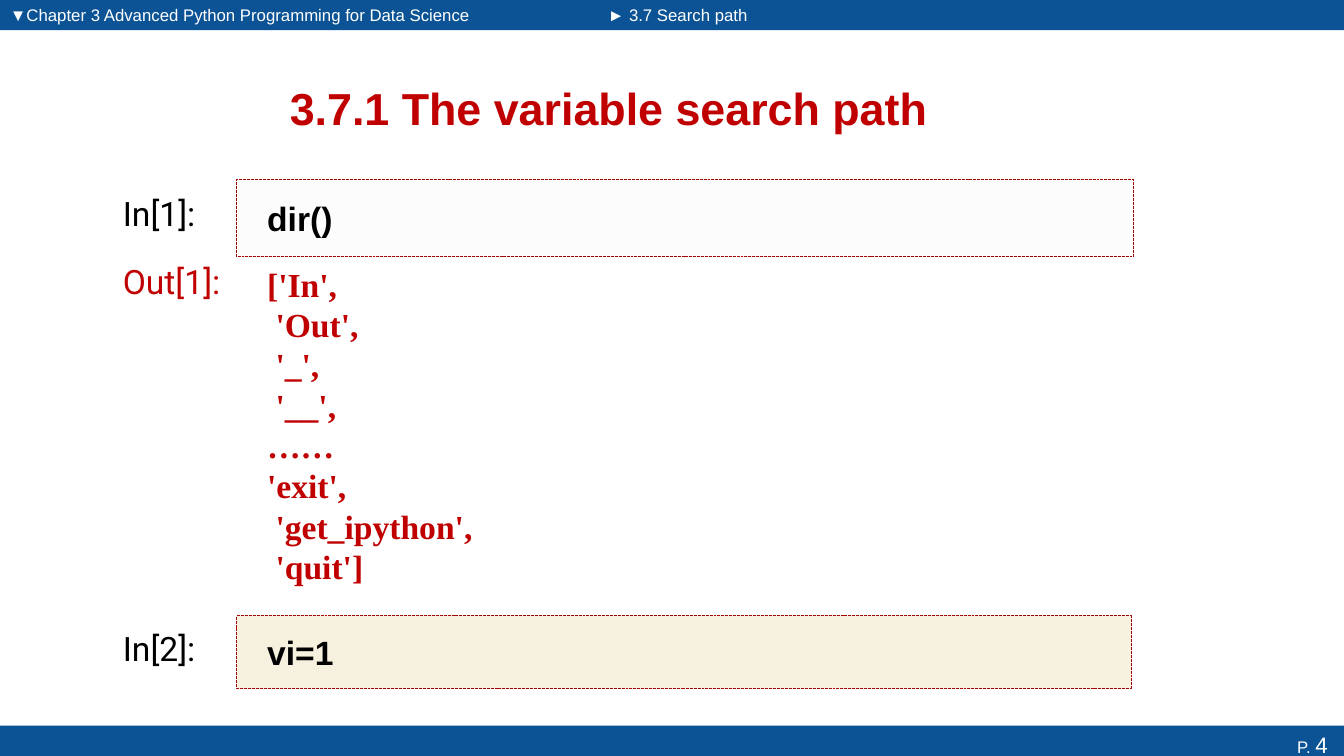
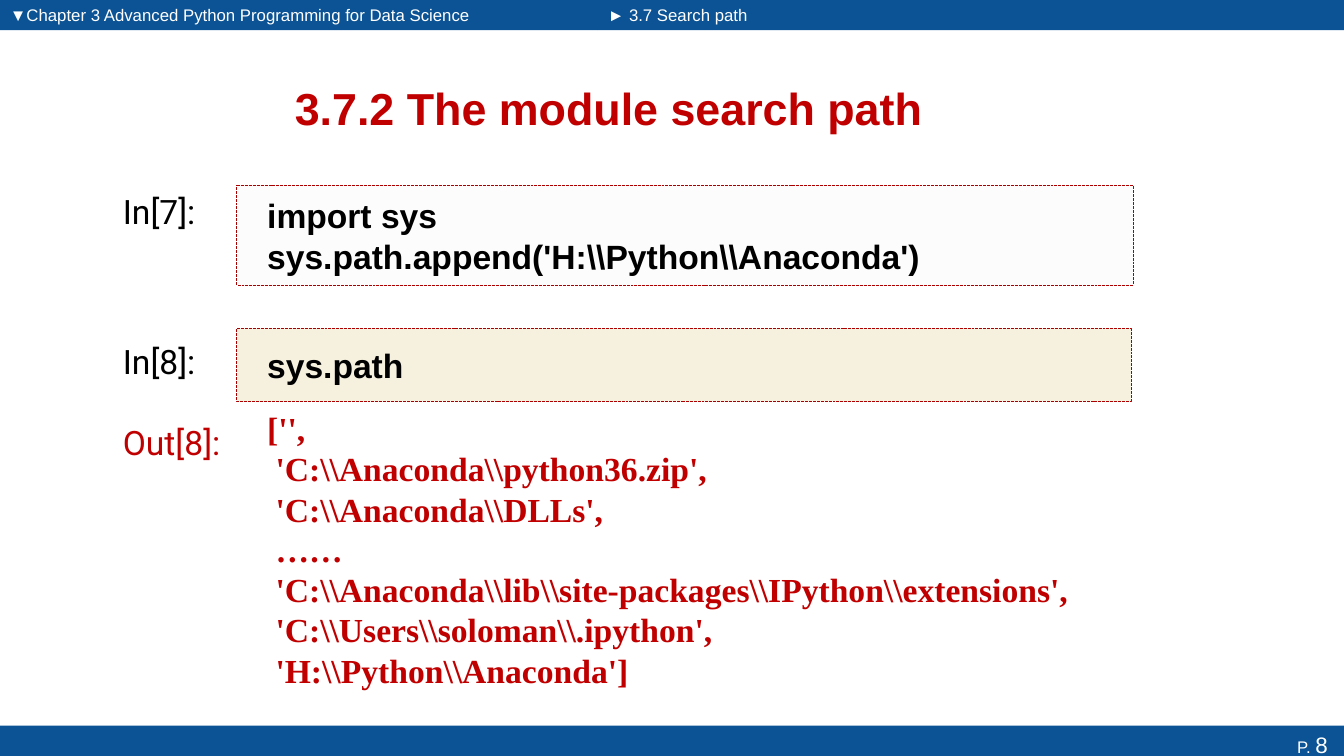
import lxml.etree
import pptx
import pptx.dml.color
import pptx.enum.dml
import pptx.enum.shapes
import pptx.enum.text
import pptx.oxml.ns
import pptx.util

Inches = pptx.util.Inches
RGBColor = pptx.dml.color.RGBColor
ALIGN = pptx.enum.text.PP_ALIGN
ANCHOR = pptx.enum.text.MSO_ANCHOR

BLUE = RGBColor(0x0B, 0x53, 0x94)
WHITE = RGBColor(0xFF, 0xFF, 0xFF)
BLACK = RGBColor(0x00, 0x00, 0x00)
RED = RGBColor(0xC0, 0x00, 0x00)
DARK_RED = RGBColor(0xAB, 0x00, 0x00)
LILAC = RGBColor(0xF1, 0xEE, 0xF4)
GOLD = RGBColor(0xBF, 0x90, 0x00)

CHAPTER = "▼Chapter 3 Advanced Python Programming for Data Science"
SECTION = "► 3.7 Search path"
PAGE_WIDTH, PAGE_HEIGHT = 13.33, 7.5
BAND_HEIGHT = 0.3
SECTION_LEFT = 5.93
LABEL_LEFT = 1.12
CELL_LEFT = 2.35
CODE_INSET = 0.3


def add_span(para, text, size=24, font="Arial", color=BLACK, bold=False):
    span = para.add_run()
    span.text = text
    span.font.size = pptx.util.Pt(size)
    span.font.name = font
    span.font.color.rgb = color
    span.font.bold = bold


def write(box, text, align=ALIGN.LEFT, anchor=ANCHOR.TOP, inset=0.1, **style):
    """Fill a box with one paragraph for each line of text."""
    frame = box.text_frame
    frame.word_wrap = True
    frame.vertical_anchor = anchor
    frame.margin_left = Inches(inset)
    for index, line in enumerate(text.split("\n")):
        para = frame.add_paragraph() if index else frame.paragraphs[0]
        para.alignment = align
        add_span(para, line, **style)


def set_opacity(shape, percent):
    color = shape.fill._xPr.find(".//" + pptx.oxml.ns.qn("a:srgbClr"))
    alpha = lxml.etree.SubElement(color, pptx.oxml.ns.qn("a:alpha"))
    alpha.set("val", str(percent * 1000))


class Deck:
    """Holds the presentation, its style and the current page."""

    def __init__(self):
        self.show = pptx.Presentation()
        self.show.slide_width = Inches(PAGE_WIDTH)
        self.show.slide_height = Inches(PAGE_HEIGHT)
        self.page = None

    def text(self, left, top, width, height, text, **style):
        box = self.page.shapes.add_textbox(
            Inches(left), Inches(top), Inches(width), Inches(height))
        write(box, text, **style)

    def rectangle(self, left, top, width, height, fill):
        shape = self.page.shapes.add_shape(
            pptx.enum.shapes.MSO_SHAPE.RECTANGLE,
            Inches(left), Inches(top), Inches(width), Inches(height))
        shape.shadow.inherit = False
        shape.fill.solid()
        shape.fill.fore_color.rgb = fill
        shape.line.fill.background()
        return shape

    def header(self, left, width, text):
        band = self.rectangle(left, 0, width, BAND_HEIGHT, BLUE)
        write(band, text, size=12, color=WHITE)

    def footer(self, number):
        band = self.rectangle(0, PAGE_HEIGHT - BAND_HEIGHT, PAGE_WIDTH, BAND_HEIGHT, BLUE)
        band.text_frame.margin_right = Inches(0.16)
        write(band, "P. ", align=ALIGN.RIGHT, size=12, color=WHITE)
        add_span(band.text_frame.paragraphs[0], str(number), size=16, color=WHITE)

    def start_page(self, number, title):
        self.page = self.show.slides.add_slide(self.show.slide_layouts[6])
        self.header(0, SECTION_LEFT, CHAPTER)
        self.header(SECTION_LEFT, PAGE_WIDTH - SECTION_LEFT, SECTION)
        self.footer(number)
        self.text(0.68, 0.62, 10.72, 0.9, title, align=ALIGN.CENTER,
                  anchor=ANCHOR.MIDDLE, size=32, color=RED, bold=True)

    def label(self, top, text, color=BLACK):
        self.text(LABEL_LEFT, top, 1.35, 0.5, text, font="Roboto", color=color)

    def code_in(self, number, label_top, top, height, code, fill=LILAC, width=8.89):
        self.label(label_top, f"In[{number}]:")
        cell = self.rectangle(CELL_LEFT, top, width, height, fill)
        set_opacity(cell, 13)
        cell.line.color.rgb = DARK_RED
        cell.line.width = pptx.util.Pt(0.7)
        cell.line.dash_style = pptx.enum.dml.MSO_LINE.SQUARE_DOT
        write(cell, code, anchor=ANCHOR.MIDDLE, inset=CODE_INSET, bold=True)

    def code_out(self, number, label_top, top, height, result):
        self.label(label_top, f"Out[{number}]:", RED)
        self.text(CELL_LEFT, top, 8.74, height, result, anchor=ANCHOR.MIDDLE,
                  inset=CODE_INSET, font="Times New Roman", color=RED, bold=True)


VARIABLES = """['In',
 'Out',
 '_',
 '__',
……
'exit',
 'get_ipython',
 'quit']"""

FOLDERS = r"""['',
 'C:\\Anaconda\\python36.zip',
 'C:\\Anaconda\\DLLs',
 ……
 'C:\\Anaconda\\lib\\site-packages\\IPython\\extensions',
 'C:\\Users\\soloman\\.ipython',
 'H:\\Python\\Anaconda']"""

APPEND = r"""import sys
sys.path.append('H:\\Python\\Anaconda')"""


def main():
    deck = Deck()

    deck.start_page(4, "3.7.1 The variable search path")
    deck.code_in(1, 1.86, 1.78, 0.77, "dir()")
    deck.code_out(1, 2.54, 2.48, 3.47, VARIABLES)
    deck.code_in(2, 6.18, 6.11, 0.72, "vi=1", fill=GOLD, width=8.87)

    deck.start_page(8, "3.7.2 The module search path")
    deck.code_in(7, 1.84, 1.84, 0.99, APPEND)
    deck.code_in(8, 3.33, 3.26, 0.72, "sys.path", fill=GOLD, width=8.87)
    deck.code_out(8, 4.14, 3.99, 2.91, FOLDERS)

    deck.show.save("out.pptx")


if __name__ == "__main__":
    main()
